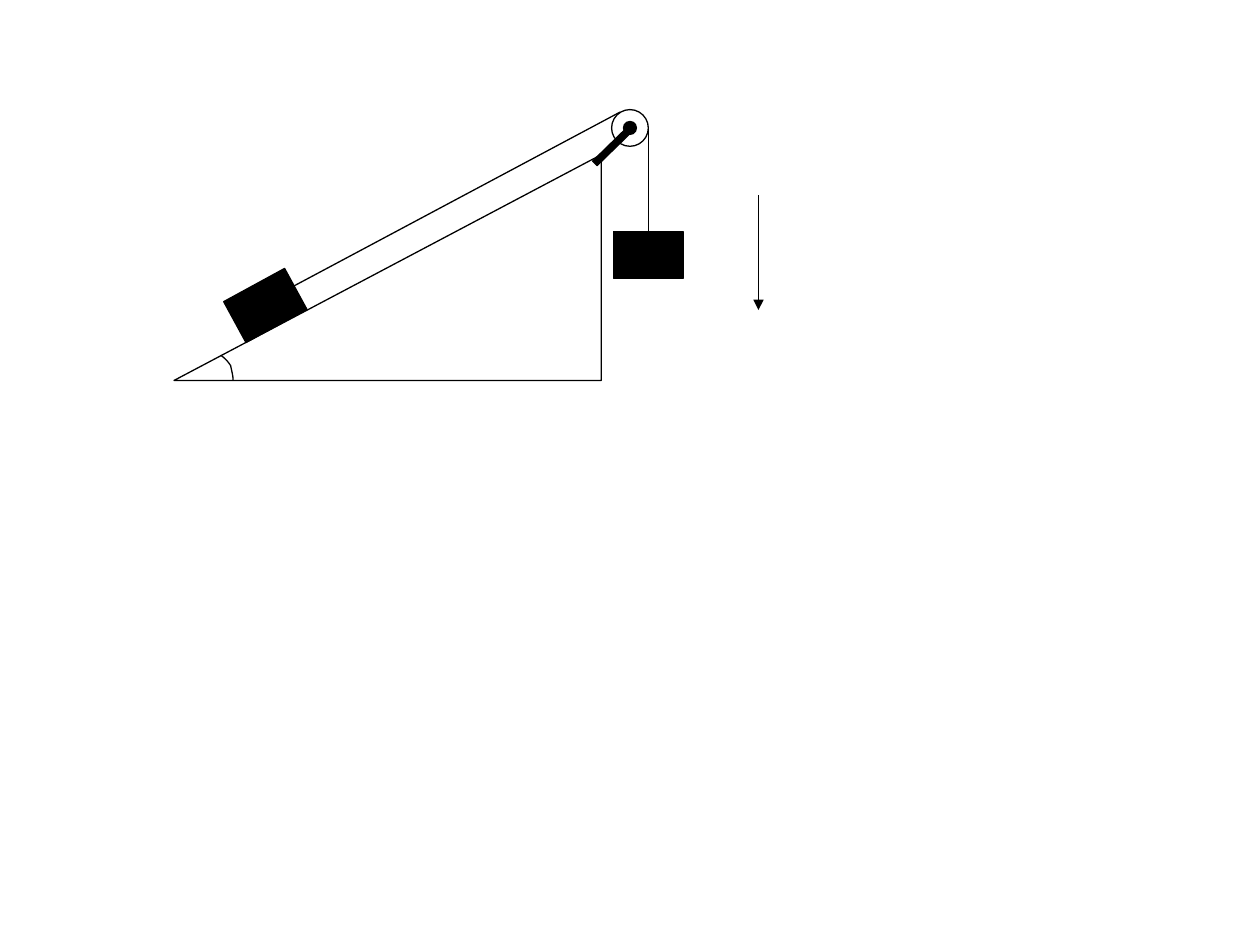
from lxml import etree
from pptx import Presentation
from pptx.dml.color import RGBColor
from pptx.enum import shapes
from pptx.oxml.ns import qn
from pptx.util import Cm, Pt

BLACK = RGBColor(0, 0, 0)
LINE_WIDTH = Pt(0.75)
KIND = shapes.MSO_SHAPE

BLOCK_WIDTH, BLOCK_HEIGHT = 1.4, 0.94
PULLEY_X, PULLEY_Y = 12.7, 2.58
PULLEY_RADIUS, AXLE_RADIUS = 0.37, 0.13

# Cubic curves (start, two controls, end) of the angle mark, in cm
ANGLE_CURVES = [
    ((4.45, 7.16), (4.52, 7.21), (4.6, 7.29), (4.65, 7.37)),
    ((4.65, 7.37), (4.67, 7.47), (4.7, 7.57), (4.7, 7.67)),
]


def style(shape, filled):
    shape.shadow.inherit = False
    if filled:
        shape.fill.solid()
        shape.fill.fore_color.rgb = BLACK
    else:
        shape.fill.background()
    shape.line.color.rgb = BLACK
    shape.line.width = LINE_WIDTH


def add_figure(page, kind, left, top, width, height, filled=False, rotation=0):
    shape = page.shapes.add_shape(kind, Cm(left), Cm(top), Cm(width), Cm(height))
    shape.rotation = rotation
    style(shape, filled)
    return shape


def add_disc(page, radius, filled=False):
    """Add a circle centred on the pulley axis."""
    return add_figure(page, KIND.OVAL, PULLEY_X - radius, PULLEY_Y - radius,
                      2 * radius, 2 * radius, filled)


def add_line(page, start, end, arrow=False):
    line = page.shapes.add_connector(
        shapes.MSO_CONNECTOR.STRAIGHT, *map(Cm, start + end))
    line.line.color.rgb = BLACK
    line.line.width = LINE_WIDTH
    properties = line._element.spPr
    if arrow:
        etree.SubElement(properties.find(qn("a:ln")), qn("a:tailEnd"), type="triangle")
    etree.SubElement(properties, qn("a:effectLst"))
    return line


def curve_point(curve, t):
    weights = ((1 - t) ** 3, 3 * t * (1 - t) ** 2, 3 * t ** 2 * (1 - t), t ** 3)
    return tuple(Cm(sum(w * point[axis] for w, point in zip(weights, curve)))
                 for axis in (0, 1))


def add_angle_mark(page, steps=8):
    points = [curve_point(curve, step / steps)
              for curve in ANGLE_CURVES for step in range(1, steps + 1)]
    builder = page.shapes.build_freeform(*curve_point(ANGLE_CURVES[0], 0))
    builder.add_line_segments(points, close=False)
    style(builder.convert_to_shape(), filled=False)


def main():
    deck = Presentation()
    deck.slide_width, deck.slide_height = Cm(25.4), Cm(19.05)
    page = deck.slides.add_slide(deck.slide_layouts[6])

    # Inclined plane
    plane = add_figure(page, KIND.ISOSCELES_TRIANGLE, 3.51, 3.12, 8.61, 4.55)
    plane.adjustments[0] = 1

    # Sliding and hanging blocks
    add_figure(page, KIND.RECTANGLE, 4.65, 5.69, BLOCK_WIDTH, BLOCK_HEIGHT,
               filled=True, rotation=331.4)
    rope_x = PULLEY_X + PULLEY_RADIUS
    hanging_block = add_figure(page, KIND.RECTANGLE, rope_x - BLOCK_WIDTH / 2, 4.67,
                               BLOCK_WIDTH, BLOCK_HEIGHT, filled=True)

    # Rope on both sides of the pulley
    hanging_rope = add_line(page, (rope_x, 4.67), (rope_x, PULLEY_Y))
    hanging_rope.begin_connect(hanging_block, 0)
    add_line(page, (5.69, 5.89), (12.5, 2.26))

    # Pulley with its bracket and axle
    add_disc(page, PULLEY_RADIUS)
    add_figure(page, KIND.RECTANGLE, 11.86, 2.9, 0.94, 0.13,
               filled=True, rotation=315.7)
    add_disc(page, AXLE_RADIUS, filled=True)

    # Slope angle and direction of gravity
    add_angle_mark(page)
    add_line(page, (15.29, 3.94), (15.29, 6.25), arrow=True)

    deck.save("out.pptx")


if __name__ == "__main__":
    main()
